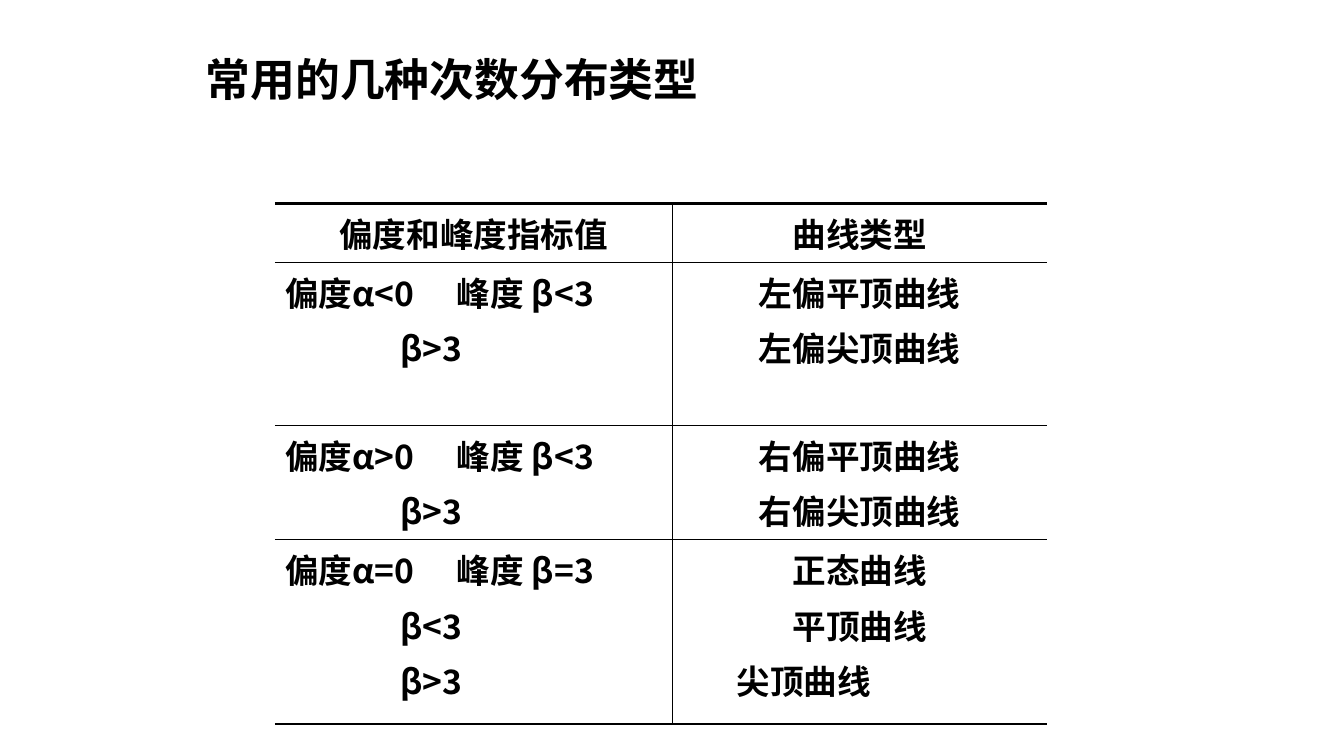
import pptx
import pptx.dml.color
import pptx.enum.text
import pptx.oxml
import pptx.oxml.ns
import pptx.util

Cm, Pt = pptx.util.Cm, pptx.util.Pt
ALIGN = pptx.enum.text.PP_ALIGN
ANCHOR = pptx.enum.text.MSO_ANCHOR
FONT = "Noto Sans CJK SC"
BLACK = "000000"
THIN, THICK = 1, 2.25
NS = pptx.oxml.ns.nsdecls("a")

TITLE = "常用的几种次数分布类型"
HEADER = ("偏度和峰度指标值", "曲线类型")
# Skewness, kurtosis values, curve names
GROUPS = [
    ("α<0", ["β<3", "β>3"], ["左偏平顶曲线", "左偏尖顶曲线"]),
    ("α>0", ["β<3", "β>3"], ["右偏平顶曲线", "右偏尖顶曲线"]),
    ("α=0", ["β=3", "β<3", "β>3"], ["正态曲线", "平顶曲线", "尖顶曲线"]),
]
COL_WIDTHS = (10.01, 9.45)
ROW_HEIGHTS = (1.45, 4.11, 2.87, 4.64)
KURTOSIS_TAB = 4.33
KURTOSIS_INDENT = 2.9
LAST_CURVE_INDENT = 1.37


def rgb(value):
    return pptx.dml.color.RGBColor.from_string(value)


def set_attrs(obj, values):
    for name, value in values.items():
        setattr(obj, name, value)


def write(p, text, size, **formats):
    set_attrs(p, formats)
    r = p.add_run()
    r.text = text
    set_attrs(r.font, {"name": FONT, "size": Pt(size), "bold": True})
    r.font.color.rgb = rgb(BLACK)
    r.font._element.append(pptx.oxml.parse_xml(f'<a:ea {NS} typeface="{FONT}"/>'))


def write_cell(cell, lines, align):
    """Fill a cell with one paragraph per line and return the paragraphs."""
    tf = cell.text_frame
    for i, line in enumerate(lines):
        p = tf.add_paragraph() if i else tf.paragraphs[0]
        write(p, line, 24, alignment=align, space_before=Pt(4.8 if i else 0))
    return tf.paragraphs


def indent(p, cm):
    p._p.get_or_add_pPr().set("marL", str(Cm(cm)))


def add_tab(p, cm):
    p._p.get_or_add_pPr().append(pptx.oxml.parse_xml(
        f'<a:tabLst {NS}><a:tab pos="{Cm(cm)}" algn="l"/></a:tabLst>'))


def set_borders(cell, widths):
    """Draw left, right, top and bottom borders; a width of 0 means none."""
    tcPr = cell._tc.get_or_add_tcPr()
    for i, (side, width) in enumerate(zip("LRTB", widths)):
        fill = (f'<a:solidFill><a:srgbClr val="{BLACK}"/></a:solidFill>'
                if width else "<a:noFill/>")
        tcPr.insert(i, pptx.oxml.parse_xml(
            f'<a:ln{side} {NS} w="{Pt(width)}">{fill}</a:ln{side}>'))


def add_title(s, left, top, width, height):
    sp = s.shapes.title
    set_attrs(sp, {"left": Cm(left), "top": Cm(top),
                   "width": Cm(width), "height": Cm(height)})
    tf = sp.text_frame
    set_attrs(tf, {"word_wrap": True, "vertical_anchor": ANCHOR.MIDDLE,
                   "auto_size": pptx.enum.text.MSO_AUTO_SIZE.NONE})
    write(tf.paragraphs[0], TITLE, 32, alignment=ALIGN.LEFT, line_spacing=0.9)


def add_curve_table(s, left, top):
    n_rows, n_cols = len(ROW_HEIGHTS), len(COL_WIDTHS)
    table = s.shapes.add_table(n_rows, n_cols, Cm(left), Cm(top),
                               Cm(sum(COL_WIDTHS)), Cm(sum(ROW_HEIGHTS))).table
    set_attrs(table, {"first_row": False, "horz_banding": False})
    for column, width in zip(table.columns, COL_WIDTHS):
        column.width = Cm(width)
    for row, height in zip(table.rows, ROW_HEIGHTS):
        row.height = Cm(height)

    for i in range(n_rows):
        for j in range(n_cols):
            cell = table.cell(i, j)
            cell.fill.background()
            set_borders(cell, (THIN if j else 0,
                               THIN if j < n_cols - 1 else 0,
                               THIN if i else THICK,
                               THIN if i < n_rows - 1 else THICK))

    for j, heading in enumerate(HEADER):
        write_cell(table.cell(0, j), [heading], ALIGN.CENTER)
    for i, (skewness, kurtoses, curves) in enumerate(GROUPS, 1):
        lines = [f"偏度{skewness}\t峰度 {kurtoses[0]}", *kurtoses[1:]]
        first, *others = write_cell(table.cell(i, 0), lines, ALIGN.JUSTIFY)
        add_tab(first, KURTOSIS_TAB)
        for p in others:
            indent(p, KURTOSIS_INDENT)
        curve_lines = write_cell(table.cell(i, 1), curves, ALIGN.CENTER)
    last = curve_lines[-1]
    last.alignment = ALIGN.LEFT
    indent(last, LAST_CURVE_INDENT)


def main():
    prs = pptx.Presentation()
    set_attrs(prs, {"slide_width": Cm(33.87), "slide_height": Cm(19.05)})
    s = prs.slides.add_slide(prs.slide_layouts[5])
    add_title(s, 4.93, 1.12, 19.69, 1.9)
    add_curve_table(s, 6.93, 5.13)
    prs.save("out.pptx")


if __name__ == "__main__":
    main()
